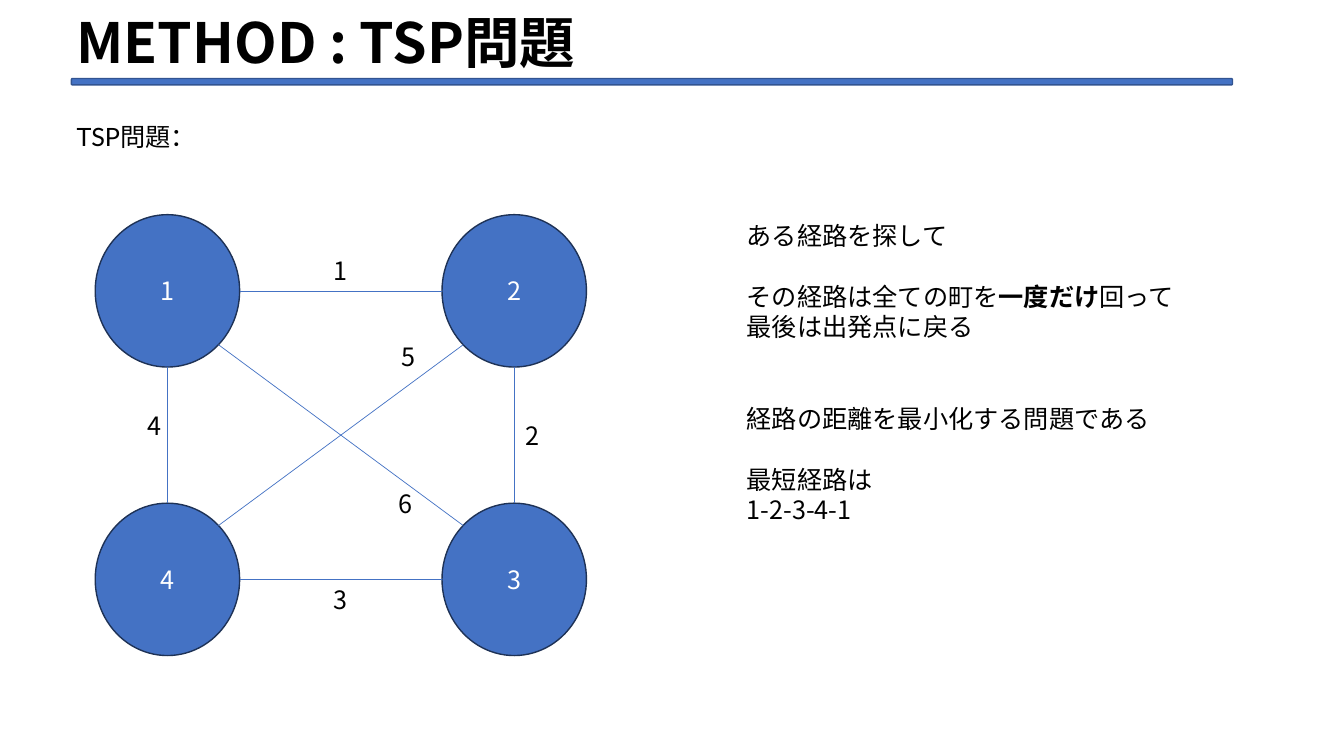
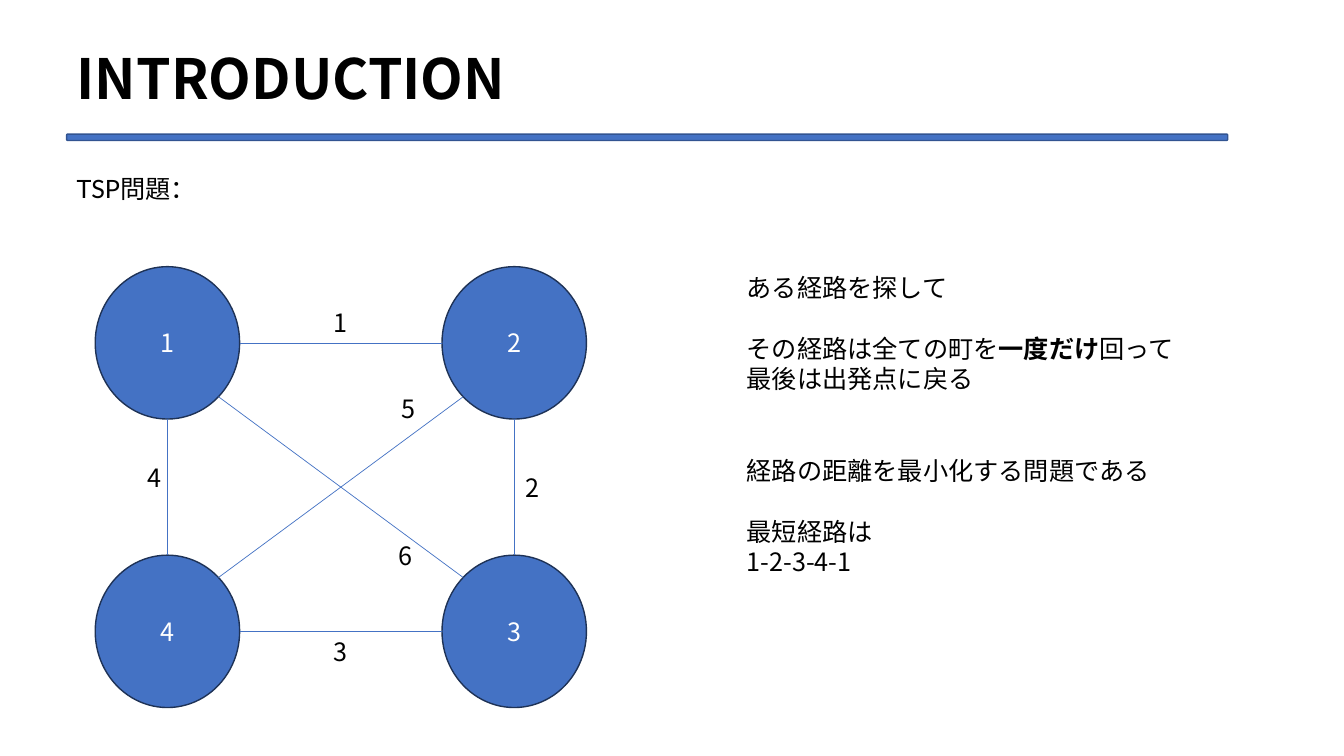
from math import hypot
from pptx import Presentation
from pptx.dml.color import RGBColor
from pptx.enum import shapes, text
from pptx.oxml.ns import qn
from pptx.util import Cm, Pt

BLUE = RGBColor(0x44, 0x72, 0xC4)
NAVY = RGBColor(0x32, 0x54, 0x91)
DARK = RGBColor(0x1E, 0x32, 0x56)
BLACK = RGBColor(0, 0, 0)
WHITE = RGBColor(255, 255, 255)
CJK, LATIN = "Noto Sans CJK SC", "Lato"

PAGES = [
    dict(title="METHOD : TSP問題", head=0.3, bar=(1.8, 1.98), top=5.41),
    dict(title="INTRODUCTION", head=1.22, bar=(1.68, 3.38), top=6.72),
]
LEFT, WIDE, HIGH = 1.68, 29.26, 1.68
NODES = {"1": (0, 0), "4": (0, 1), "3": (1, 1), "2": (1, 0)}
EDGES = [
    ("1", "2", "1", (8.15, 0.89)),
    ("1", "4", "4", (3.48, 4.8)),
    ("4", "3", "3", (8.15, 9.19)),
    ("3", "2", "2", (13, 5.05)),
    ("2", "4", "5", (9.86, 3.05)),
    ("1", "3", "6", (9.8, 6.76)),
]
START, NODE_W, NODE_H, STEP_X, STEP_Y = 2.4, 3.64, 3.84, 8.74, 7.27
LINE = 21.8
TOPIC = [([("TSP", LATIN, False), ("問題：", CJK, False)], 0)]
NOTES = [
    ([("ある経路を探して", CJK, False)], 0),
    ([("その経路は全ての町を", CJK, False), ("一度だけ", CJK, True),
      ("回って", CJK, False)], 1),
    ([("最後は出発点に戻る", CJK, False)], 0),
    ([("経路の距離を最小化する問題である", CJK, False)], 2),
    ([("最短経路は", CJK, False)], 1),
    ([("1-2-3-4-1", CJK, False)], 0),
]


def style(run, size=18, color=BLACK, face=CJK, bold=False):
    font = run.font
    font.size, font.name, font.bold = Pt(size), face, bold
    font.color.rgb = color
    east = font._element.makeelement(qn("a:ea"), {"typeface": CJK})
    font._element.find(qn("a:latin")).addnext(east)


def write(slide, box, paras, wrap=False):
    frame = slide.shapes.add_textbox(*map(Cm, box)).text_frame
    frame.word_wrap = wrap
    for i, (runs, gap) in enumerate(paras):
        para = frame.add_paragraph() if i else frame.paragraphs[0]
        para.line_spacing = Pt(LINE)
        para.space_before = Pt(gap * LINE)
        for words, face, bold in runs:
            run = para.add_run()
            run.text = words
            style(run, face=face, bold=bold)


def shape(slide, kind, box, edge):
    item = slide.shapes.add_shape(kind, *map(Cm, box))
    item.shadow.inherit = False
    item.fill.solid()
    item.fill.fore_color.rgb = BLUE
    item.line.color.rgb = edge
    item.line.width = Pt(1)
    return item


def header(slide, page):
    shape(slide, shapes.MSO_SHAPE.ROUNDED_RECTANGLE,
          (*page["bar"], WIDE, 0.16), NAVY)
    box = slide.shapes.add_textbox(*map(Cm, (LEFT, page["head"], WIDE, HIGH)))
    frame = box.text_frame
    frame.word_wrap = True
    frame.vertical_anchor = text.MSO_ANCHOR.MIDDLE
    frame.text = page["title"]
    para = frame.paragraphs[0]
    para.line_spacing = 0.9
    style(para.runs[0], 39.6, bold=True)


def center(name, top):
    col, row = NODES[name]
    return (START + col * STEP_X + NODE_W / 2,
            top + row * STEP_Y + NODE_H / 2)


def link(slide, a, b, top):
    (x1, y1), (x2, y2) = center(a, top), center(b, top)
    dx = (x2 > x1) - (x2 < x1)
    dy = (y2 > y1) - (y2 < y1)
    reach = hypot(dx, dy)
    rx, ry = dx * NODE_W / 2 / reach, dy * NODE_H / 2 / reach
    ends = map(Cm, (x1 + rx, y1 + ry, x2 - rx, y2 - ry))
    line = slide.shapes.add_connector(shapes.MSO_CONNECTOR.STRAIGHT, *ends)
    line.line.color.rgb = BLUE
    line.line.width = Pt(0.5)
    props = line._element.spPr
    props.append(props.makeelement(qn("a:effectLst"), {}))


def graph(slide, top):
    for name in NODES:
        x, y = center(name, top)
        node = shape(slide, shapes.MSO_SHAPE.OVAL,
                     (x - NODE_W / 2, y - NODE_H / 2, NODE_W, NODE_H), DARK)
        frame = node.text_frame
        frame.text = name
        frame.vertical_anchor = text.MSO_ANCHOR.MIDDLE
        para = frame.paragraphs[0]
        para.alignment = text.PP_ALIGN.CENTER
        style(para.runs[0], color=WHITE)
    for a, b, cost, (x, y) in EDGES:
        link(slide, a, b, top)
        write(slide, (x, top + y, 0.86, 1.02), [([(cost, CJK, False)], 0)])


def main():
    deck = Presentation()
    deck.slide_width, deck.slide_height = Cm(33.87), Cm(19.05)
    for page in PAGES:
        slide = deck.slides.add_slide(deck.slide_layouts[6])
        top = page["top"]
        header(slide, page)
        graph(slide, top)
        write(slide, (18.57, top, 11.4, 7.95), NOTES)
        write(slide, (LEFT, top - 2.49, 3.45, 1.02), TOPIC, wrap=True)
    deck.save("out.pptx")


if __name__ == "__main__":
    main()
